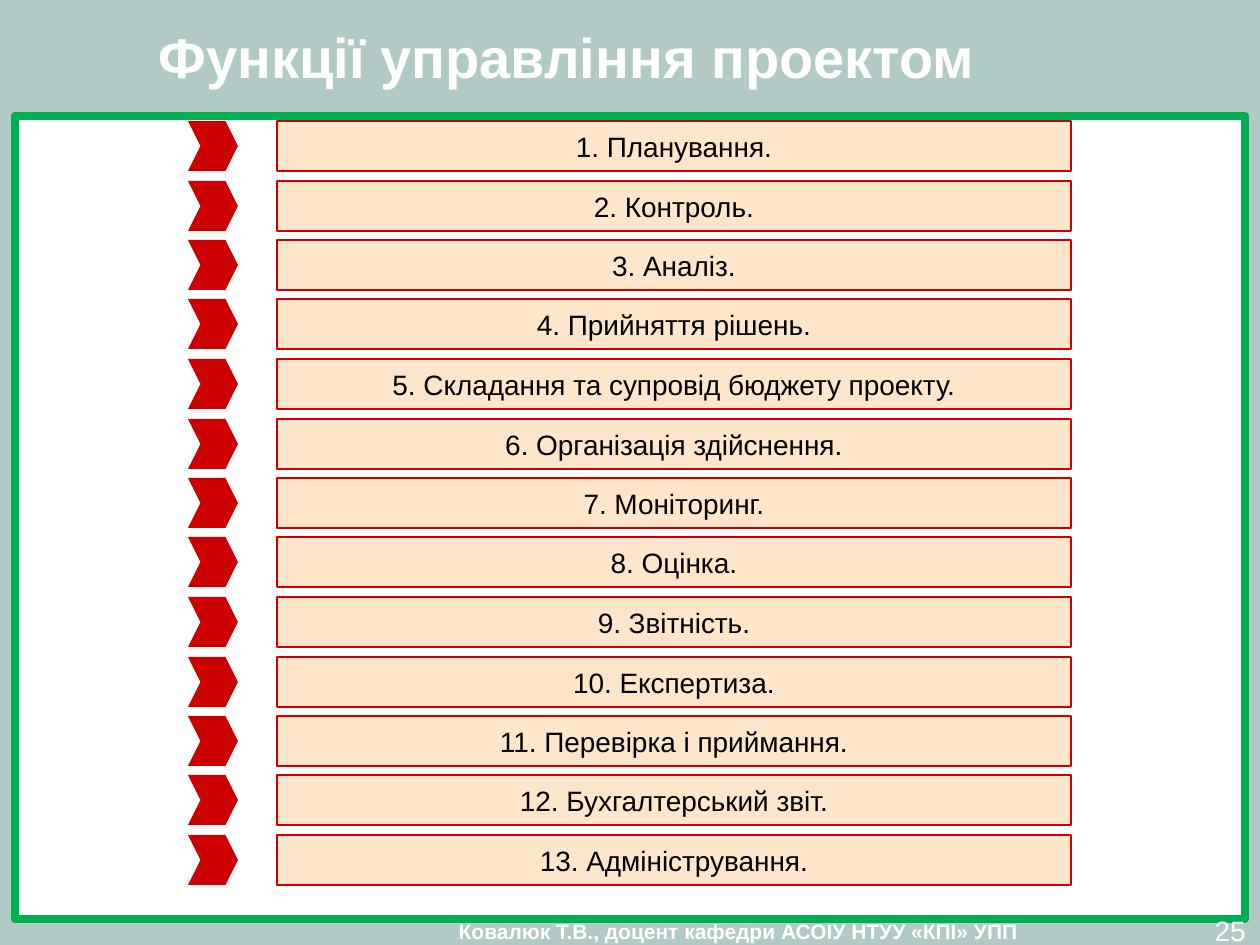
import pptx
import pptx.util
import pptx.dml.color
import pptx.enum.shapes
import pptx.enum.text
import pptx.oxml.ns
import lxml.etree

PX = 914400 / 126
FONT = "Arial"
COLORS = {
    "background": "B1CAC6",
    "panel": "FFFFFF",
    "frame": "00B050",
    "bar": "FFE6CB",
    "accent": "CC0000",
    "light": "FFFFFF",
    "dark": "000000",
}
FUNCTIONS = [
    "Планування.",
    "Контроль.",
    "Аналіз.",
    "Прийняття рішень.",
    "Складання та супровід бюджету проекту.",
    "Організація здійснення.",
    "Моніторинг.",
    "Оцінка.",
    "Звітність.",
    "Експертиза.",
    "Перевірка і приймання.",
    "Бухгалтерський звіт.",
    "Адміністрування.",
]
SHAPE = pptx.enum.shapes.MSO_SHAPE
ALIGN = pptx.enum.text.PP_ALIGN
ANCHOR = pptx.enum.text.MSO_ANCHOR


def emu(*lengths):
    return [pptx.util.Emu(round(length * PX)) for length in lengths]


def color(name):
    return pptx.dml.color.RGBColor.from_string(COLORS[name])


def write(shape, text, size, color_name, align=ALIGN.CENTER, bold=False):
    para = shape.text_frame.paragraphs[0]
    para.alignment = align
    run = para.add_run()
    run.text = text
    run.font.name = FONT
    run.font.size = pptx.util.Pt(size)
    run.font.bold = bold
    run.font.color.rgb = color(color_name)


def add_block(shapes, kind, box, fill, line=None, width=1):
    shape = shapes.add_shape(kind, *emu(*box))
    shape.shadow.inherit = False
    shape.fill.solid()
    shape.fill.fore_color.rgb = color(fill)
    if line:
        shape.line.color.rgb = color(line)
        shape.line.width = pptx.util.Pt(width)
    else:
        shape.line.fill.background()
    return shape


def add_label(page, box, text, size, align, bold=False, margin=0):
    label = page.shapes.add_textbox(*emu(*box))
    frame = label.text_frame
    frame.word_wrap = True
    frame.margin_top, frame.margin_bottom = emu(margin, margin)
    write(label, text, size, "light", align, bold)


def add_panel(page, box):
    panel = add_block(page.shapes, SHAPE.RECTANGLE, box, "panel", "frame", 5)
    outline = panel.line.fill._xPr
    lxml.etree.SubElement(outline, pptx.oxml.ns.qn("a:round"))


def add_title(page, box, text):
    title = page.shapes.title
    title.left, title.top, title.width, title.height = emu(*box)
    title.text_frame.vertical_anchor = ANCHOR.MIDDLE
    write(title, text, 32, "light", bold=True)


def add_function_list(page, box, functions):
    left, top, width, height = box
    row_height = 50
    bar_offset = 89
    step = (height - row_height) / (len(functions) - 1)
    group = page.shapes.add_group_shape()
    for index, function in enumerate(functions):
        row_top = top + round(index * step)
        chevron = add_block(
            group.shapes, SHAPE.CHEVRON, (left, row_top, row_height, row_height), "accent"
        )
        chevron.adjustments[0] = 0.25
        bar_box = (left + bar_offset, row_top, width - bar_offset, row_height)
        bar = add_block(group.shapes, SHAPE.RECTANGLE, bar_box, "bar", "accent")
        bar.text_frame.word_wrap = False
        bar.text_frame.vertical_anchor = ANCHOR.MIDDLE
        write(bar, f"{index + 1}. {function}", 16, "dark")


def add_footer(page, box):
    left, top, width, height = box
    add_label(
        page, (left, top + 11, 833, 25),
        "Ковалюк Т.В., доцент кафедри АСОІУ НТУУ «КПІ» УПП", 12, ALIGN.CENTER, bold=True,
    )
    add_label(page, (left + width - 72, top, 72, height), "25", 16, ALIGN.RIGHT, margin=6)


def main():
    deck = pptx.Presentation()
    deck.slide_width, deck.slide_height = emu(1260, 945)
    page = deck.slides.add_slide(deck.slide_layouts[5])
    page.background.fill.solid()
    page.background.fill.fore_color.rgb = color("background")
    add_panel(page, (15, 116, 1230, 803))
    add_title(page, (0, 18, 1134, 77), "Функції управління проектом")
    add_function_list(page, (188, 121, 883, 764), FUNCTIONS)
    add_footer(page, (322, 908, 936, 37))
    deck.save("out.pptx")


if __name__ == "__main__":
    main()
